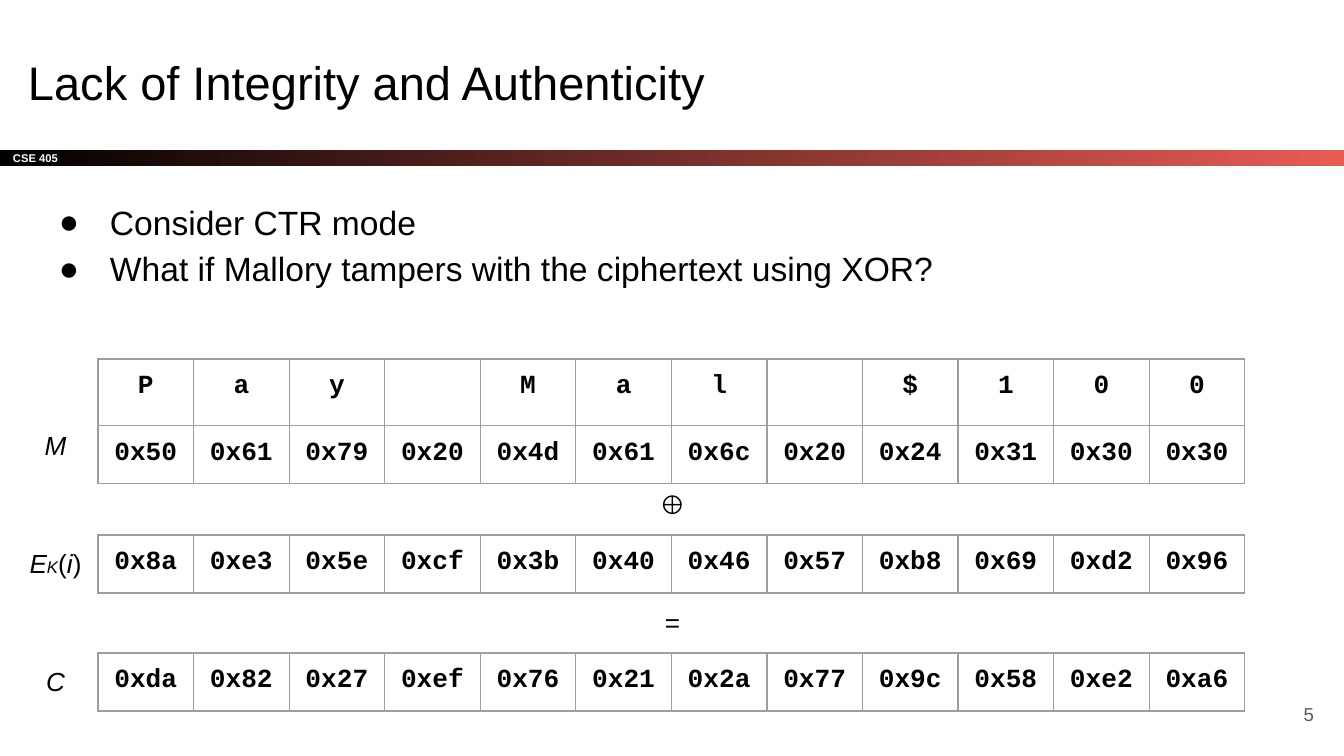
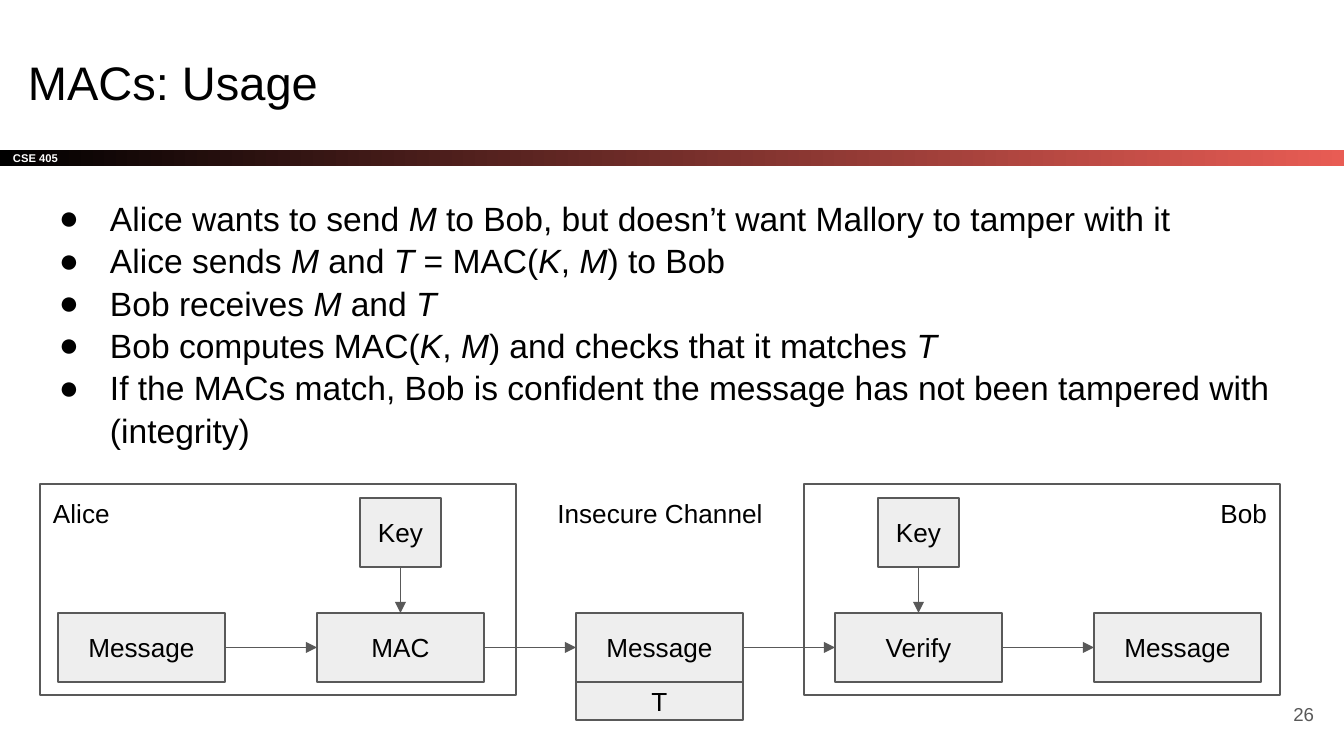
from dataclasses import dataclass

from lxml import etree
from pptx import Presentation
from pptx import util as u
from pptx.dml.color import RGBColor
from pptx.enum import shapes, text
from pptx.oxml import ns

WIDTH, HEIGHT = 1344, 756
EMU_PER_PX = u.Inches(10) / WIDTH

LEFT, CENTER, RIGHT = text.PP_ALIGN.LEFT, text.PP_ALIGN.CENTER, text.PP_ALIGN.RIGHT
TOP, MIDDLE = text.MSO_ANCHOR.TOP, text.MSO_ANCHOR.MIDDLE
SIDE_TOP, SIDE_LEFT, SIDE_BOTTOM, SIDE_RIGHT = range(4)


@dataclass(frozen=True)
class Theme:
    ink: str = "000000"
    paper: str = "FFFFFF"
    accent: str = "E85C54"
    grey: str = "595959"
    block: str = "EEEEEE"
    grid: str = "9E9E9E"
    sans: str = "Arial"
    mono: str = "Courier New"
    title: float = 25.2
    body: float = 18
    label: float = 14
    subscript: float = 9
    number: float = 10
    tag: float = 6
    line: float = 0.75
    inset: int = 13


def px(length):
    return u.Emu(round(length * EMU_PER_PX))


def rgb(value):
    return RGBColor.from_string(value)


def add_xml(parent, tag, **attributes):
    return etree.SubElement(parent, ns.qn(tag), attributes)


class Deck:
    def __init__(self, theme):
        self.theme = theme
        self.deck = Presentation()
        self.deck.slide_width, self.deck.slide_height = px(WIDTH), px(HEIGHT)
        self.page = None

    def add_page(self, title, number):
        theme = self.theme
        self.page = self.deck.slides.add_slide(self.deck.slide_layouts[6])
        self.add_band("CSE 405")
        self.add_label(title, 15, 40, 1253, 85, LEFT, size=theme.title)
        self.add_label(str(number), 1246, 685, 81, 58, RIGHT, MIDDLE,
                       size=theme.number, color=theme.grey)

    def add_spans(self, para, content, size=None, color=None, font=None, bold=False):
        """Fill a paragraph; *stars* mark italics and ~tildes~ subscripts."""
        theme = self.theme
        for i, part in enumerate(content.split("*")):
            for j, piece in enumerate(part.split("~")):
                if content and not piece:
                    continue
                span = para.add_run()
                span.text = piece
                look = {
                    "name": font or theme.sans,
                    "size": u.Pt(theme.subscript if j % 2 else size or theme.label),
                    "bold": bold,
                    "italic": i % 2 == 1,
                }
                for name, value in look.items():
                    setattr(span.font, name, value)
                span.font.color.rgb = rgb(color or theme.ink)

    def set_frame(self, frame, anchor):
        frame.word_wrap = True
        frame.vertical_anchor = anchor
        self.set_margins(frame)

    def set_margins(self, holder):
        for side in ("left", "top", "right", "bottom"):
            setattr(holder, f"margin_{side}", px(self.theme.inset))

    def add_label(self, content, x, y, width, height, align=CENTER, anchor=TOP, **look):
        box = self.page.shapes.add_textbox(*map(px, (x, y, width, height)))
        self.set_frame(box.text_frame, anchor)
        para = box.text_frame.paragraphs[0]
        para.alignment = align
        self.add_spans(para, content, **look)

    def add_bullets(self, items, height, spacing):
        box = self.page.shapes.add_textbox(*map(px, (30, 183, 1253, height)))
        frame = box.text_frame
        self.set_frame(frame, TOP)
        for i, item in enumerate(items):
            para = frame.add_paragraph() if i else frame.paragraphs[0]
            para.line_spacing = spacing
            self.add_spans(para, item, size=self.theme.body)
            props = para._p.get_or_add_pPr()
            props.set("marL", str(px(67)))
            props.set("indent", str(px(-51)))
            add_xml(add_xml(props, "a:buClr"), "a:srgbClr", val=self.theme.ink)
            add_xml(props, "a:buFont", typeface=self.theme.sans)
            add_xml(props, "a:buChar", char="●")

    def add_rect(self, x, y, width, height):
        box = self.page.shapes.add_shape(
            shapes.MSO_SHAPE.RECTANGLE, *map(px, (x, y, width, height)))
        box.shadow.inherit = False
        self.set_frame(box.text_frame, MIDDLE)
        return box

    def add_band(self, tag):
        theme = self.theme
        band = self.add_rect(0, 150, WIDTH, 16)
        band.line.fill.background()
        band.fill.gradient()
        band.fill.gradient_angle = 0
        for stop, color in zip(band.fill.gradient_stops, (theme.ink, theme.accent)):
            stop.color.rgb = rgb(color)
        para = band.text_frame.paragraphs[0]
        para.alignment = LEFT
        self.add_spans(para, tag, size=theme.tag, color=theme.paper, bold=True)

    def set_line(self, line):
        line.color.rgb = rgb(self.theme.grey)
        line.width = u.Pt(self.theme.line)

    def add_area(self, x, y, width, height):
        area = self.add_rect(x, y, width, height)
        area.fill.background()
        self.set_line(area.line)

    def add_block(self, content, x, y, width, height):
        block = self.add_rect(x, y, width, height)
        block.fill.solid()
        block.fill.fore_color.rgb = rgb(self.theme.block)
        self.set_line(block.line)
        para = block.text_frame.paragraphs[0]
        para.alignment = CENTER
        self.add_spans(para, content)
        return block

    def add_arrow(self, start, start_side, end, end_side):
        arrow = self.page.shapes.add_connector(shapes.MSO_CONNECTOR.STRAIGHT, 0, 0, 0, 0)
        arrow.begin_connect(start, start_side)
        arrow.end_connect(end, end_side)
        self.set_line(arrow.line)
        props = arrow._element.spPr
        add_xml(props.get_or_add_ln(), "a:tailEnd", type="triangle")
        add_xml(props, "a:effectLst")

    def add_byte_table(self, rows, x, y, width, heights):
        columns = len(rows[0])
        table = self.page.shapes.add_table(
            len(rows), columns, *map(px, (x, y, width, sum(heights)))).table
        table.first_row = table.horz_banding = False
        for column in table.columns:
            column.width = px(width / columns)
        for row, height, values in zip(table.rows, heights, rows):
            row.height = px(height)
            for cell, value in zip(row.cells, values):
                self.set_cell(cell, value)

    def set_cell(self, cell, value):
        self.set_margins(cell)
        props = cell._tc.get_or_add_tcPr()
        for edge in ("a:lnL", "a:lnR", "a:lnT", "a:lnB"):
            border = add_xml(props, edge, w=str(u.Pt(self.theme.line)))
            add_xml(add_xml(border, "a:solidFill"), "a:srgbClr", val=self.theme.grid)
        cell.fill.background()
        para = cell.text_frame.paragraphs[0]
        para.alignment = CENTER
        self.add_spans(para, value, font=self.theme.mono, bold=True)


def build_integrity(deck):
    deck.add_page("Lack of Integrity and Authenticity", 5)
    deck.add_bullets(["Consider CTR mode",
                      "What if Mallory tampers with the ciphertext using XOR?"], 246, 1.15)
    message = "Pay Mal $100"
    letters = [letter.strip() for letter in message]
    byte_rows = [
        ("*M*", [f"0x{ord(letter):02x}" for letter in message], "⊕"),
        ("*E~K~*(*i*)", "0x8a 0xe3 0x5e 0xcf 0x3b 0x40 0x46 0x57 0xb8 0x69 0xd2 0x96".split(), "="),
        ("*C*", "0xda 0x82 0x27 0xef 0x76 0x21 0x2a 0x77 0x9c 0x58 0xe2 0xa6".split(), None),
    ]
    left, width, row_height, letter_height = 98, 1147, 58, 64
    for i, (name, values, operator) in enumerate(byte_rows):
        top = 417 + 118 * i
        if i == 0:
            deck.add_byte_table([letters, values], left, top - row_height, width,
                                [letter_height, row_height])
        else:
            deck.add_byte_table([values], left, top, width, [row_height])
        deck.add_label(name, 15, top - 1, 81, 59)
        if operator:
            deck.add_label(operator, 632, top + row_height, 81, 59)


def build_usage(deck):
    deck.add_page("MACs: Usage", 26)
    deck.add_bullets([
        "Alice wants to send *M* to Bob, but doesn’t want Mallory to tamper with it",
        "Alice sends *M* and *T* = MAC(*K*, *M*) to Bob",
        "Bob receives *M* and *T*",
        "Bob computes MAC(*K*, *M*) and checks that it matches *T*",
        "If the MACs match, Bob is confident the message has not been tampered "
        "with (integrity)",
    ], 296, 1.05)

    area_top, area_width, alice, bob = 484, 476, 40, 804
    for x in (alice, bob):
        deck.add_area(x, area_top, area_width, 211)

    first, step, width, height, top = 58, 259, 167, 69, 613
    steps = [deck.add_block(name, first + step * i, top, width, height)
             for i, name in enumerate(["Message", "MAC", "Message", "Verify", "Message"])]
    for start, end in zip(steps, steps[1:]):
        deck.add_arrow(start, SIDE_RIGHT, end, SIDE_LEFT)

    key_width = 81
    for i in (1, 3):
        key = deck.add_block("Key", first + step * i + (width - key_width) // 2, 498,
                             key_width, height)
        deck.add_arrow(key, SIDE_BOTTOM, steps[i], SIDE_TOP)
    deck.add_block("T", first + step * 2, top + height, width, 38)

    name_width, alice_end, bob_end = 113, alice + area_width, bob + area_width
    deck.add_label("Alice", alice, area_top, name_width, 59, LEFT)
    deck.add_label("Bob", bob_end - name_width, area_top, name_width, 59, RIGHT)
    deck.add_label("Insecure Channel", alice_end, area_top, bob - alice_end, 59)


def main():
    deck = Deck(Theme())
    build_integrity(deck)
    build_usage(deck)
    deck.deck.save("out.pptx")


if __name__ == "__main__":
    main()
